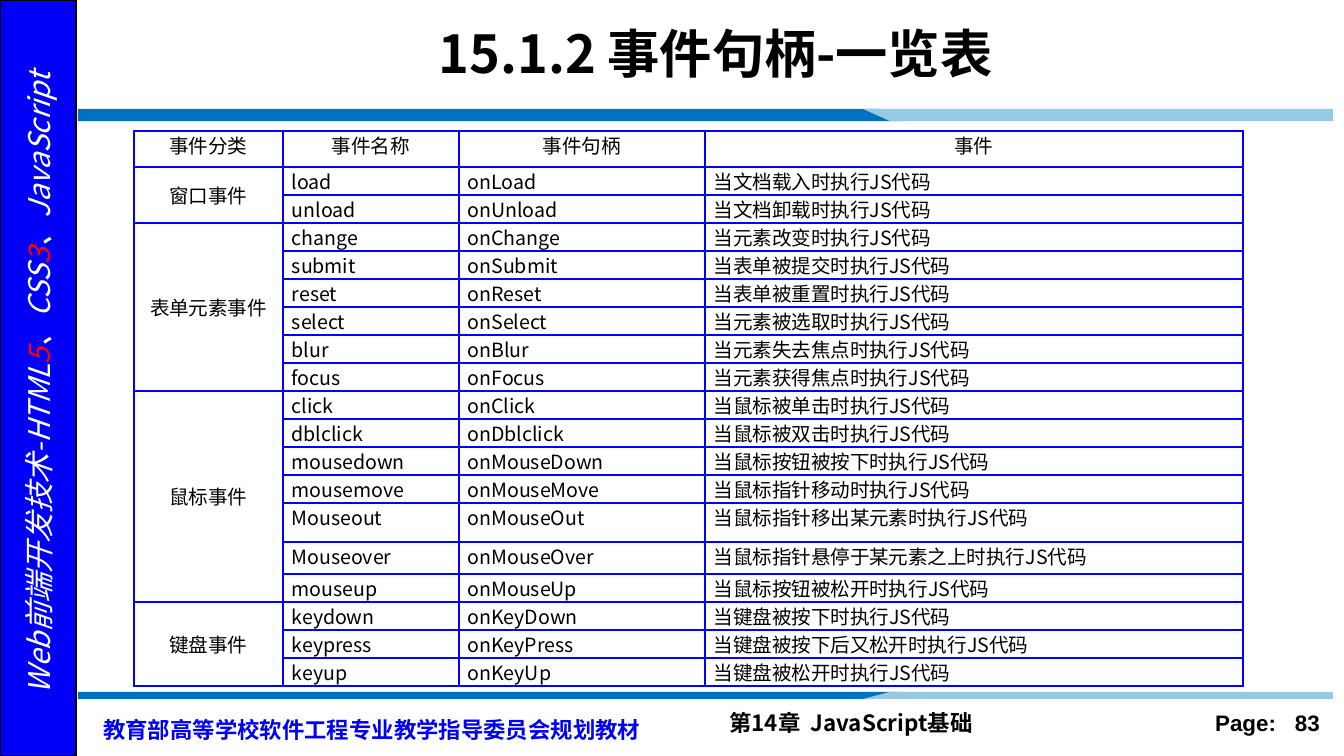
from lxml import etree
from pptx import Presentation, util as u
from pptx.dml.color import RGBColor
from pptx.enum import shapes, text
from pptx.oxml import ns

PX = 914400 / 134.4
COLORS = {
    "black": "000000", "white": "FFFFFF", "red": "FF0000", "navy": "0000FA",
    "border": "0000FF", "band": "0070C0", "band_light": "96CAE4",
}
CJK = "Noto Sans CJK SC"
ALIGN = text.PP_ALIGN

HEADINGS = ["事件分类", "事件名称", "事件句柄", "事件"]
EVENTS = {
    "窗口事件": [
        ("load", "onLoad", "当文档载入时执行JS代码"),
        ("unload", "onUnload", "当文档卸载时执行JS代码"),
    ],
    "表单元素事件": [
        ("change", "onChange", "当元素改变时执行JS代码"),
        ("submit", "onSubmit", "当表单被提交时执行JS代码"),
        ("reset", "onReset", "当表单被重置时执行JS代码"),
        ("select", "onSelect", "当元素被选取时执行JS代码"),
        ("blur", "onBlur", "当元素失去焦点时执行JS代码"),
        ("focus", "onFocus", "当元素获得焦点时执行JS代码"),
    ],
    "鼠标事件": [
        ("click", "onClick", "当鼠标被单击时执行JS代码"),
        ("dblclick", "onDblclick", "当鼠标被双击时执行JS代码"),
        ("mousedown", "onMouseDown", "当鼠标按钮被按下时执行JS代码"),
        ("mousemove", "onMouseMove", "当鼠标指针移动时执行JS代码"),
        ("Mouseout", "onMouseOut", "当鼠标指针移出某元素时执行JS代码"),
        ("Mouseover", "onMouseOver", "当鼠标指针悬停于某元素之上时执行JS代码"),
        ("mouseup", "onMouseUp", "当鼠标按钮被松开时执行JS代码"),
    ],
    "键盘事件": [
        ("keydown", "onKeyDown", "当键盘被按下时执行JS代码"),
        ("keypress", "onKeyPress", "当键盘被按下后又松开时执行JS代码"),
        ("keyup", "onKeyUp", "当键盘被松开时执行JS代码"),
    ],
}
COLUMN_WIDTHS = [149, 176, 246, 538]
HEADER_HEIGHT, ROW_HEIGHT = 36, 28
TALL_ROWS = {"Mouseout": 39, "Mouseover": 32}


def px(length):
    return u.Emu(round(length * PX))


def rgb(name):
    return RGBColor.from_string(COLORS[name])


class SlideWriter:
    def __init__(self, slide):
        self.slide = slide
        self.shapes = slide.shapes

    def run(self, paragraph, words, size, color="black", bold=False, italic=False,
            font=CJK, gap=0):
        run = paragraph.add_run()
        run.text = words
        run.font.size = u.Pt(size)
        run.font.name = font
        run.font.bold = bold
        run.font.italic = italic
        run.font.color.rgb = rgb(color)
        properties = run.font._element
        etree.SubElement(properties, ns.qn("a:ea")).set("typeface", font)
        if gap:
            properties.set("spc", str(gap))

    def title(self, box, words):
        title = self.shapes.title
        title.left, title.top, title.width, title.height = map(px, box)
        frame = title.text_frame
        frame.vertical_anchor = text.MSO_ANCHOR.MIDDLE
        frame.auto_size = text.MSO_AUTO_SIZE.NONE
        paragraph = frame.paragraphs[0]
        paragraph.alignment = ALIGN.CENTER
        self.run(paragraph, words, 28, bold=True)

    def label(self, box, runs, align=ALIGN.LEFT, rotation=0, line_spacing=None, **style):
        label = self.shapes.add_textbox(*map(px, box))
        label.rotation = rotation
        label.text_frame.word_wrap = True
        paragraph = label.text_frame.paragraphs[0]
        paragraph.alignment = align
        if line_spacing:
            paragraph.line_spacing = u.Pt(line_spacing)
        for words, own_style in runs:
            self.run(paragraph, words, **{**style, **own_style})

    def panel(self, box, fill, line):
        panel = self.shapes.add_shape(shapes.MSO_SHAPE.RECTANGLE, *map(px, box))
        panel.shadow.inherit = False
        panel.fill.solid()
        panel.fill.fore_color.rgb = rgb(fill)
        panel.line.color.rgb = rgb(line)
        panel.line.width = u.Pt(1)

    def outline(self, points, fill):
        builder = self.shapes.build_freeform(*points[0], scale=PX)
        builder.add_line_segments(points[1:], close=True)
        outline = builder.convert_to_shape()
        outline.shadow.inherit = False
        outline.fill.solid()
        outline.fill.fore_color.rgb = rgb(fill)
        outline.line.fill.background()

    def band(self, start, end):
        self.outline([(78, start), (879, start), (903, end), (78, end)], "band")
        self.outline([(863, start), (1333, start), (1333, end), (890, end)], "band_light")

    def cell(self, cell, words, align, anchor=text.MSO_ANCHOR.TOP):
        cell.margin_left = cell.margin_right = px(9)
        cell.margin_top = cell.margin_bottom = 0
        cell.vertical_anchor = anchor
        properties = cell._tc.get_or_add_tcPr()
        for side in ("lnL", "lnR", "lnT", "lnB"):
            border = etree.SubElement(properties, ns.qn(f"a:{side}"), w=str(u.Pt(1)))
            fill = etree.SubElement(border, ns.qn("a:solidFill"))
            etree.SubElement(fill, ns.qn("a:srgbClr"), val=COLORS["border"])
        cell.fill.background()
        paragraph = cell.text_frame.paragraphs[0]
        paragraph.alignment = align
        if words:
            self.run(paragraph, words, 10.5)
        else:
            paragraph.font.size = u.Pt(10.5)

    def event_table(self, left, top):
        events = [event for group in EVENTS.values() for event in group]
        heights = [HEADER_HEIGHT] + [TALL_ROWS.get(event[0], ROW_HEIGHT) for event in events]
        table = self.shapes.add_table(
            len(heights), len(COLUMN_WIDTHS), px(left), px(top),
            px(sum(COLUMN_WIDTHS)), px(sum(heights))).table
        table.first_row = table.horz_banding = False
        for column, width in zip(table.columns, COLUMN_WIDTHS):
            column.width = px(width)
        for row, height in zip(table.rows, heights):
            row.height = px(height)
        for column, heading in enumerate(HEADINGS):
            self.cell(table.cell(0, column), heading, ALIGN.CENTER)
        first = 1
        for category, group in EVENTS.items():
            for row, event in enumerate(group, first):
                self.cell(table.cell(row, 0), category if row == first else "",
                          ALIGN.CENTER, text.MSO_ANCHOR.MIDDLE)
                for column, words in enumerate(event, 1):
                    self.cell(table.cell(row, column), words, ALIGN.JUSTIFY)
            table.cell(first, 0).merge(table.cell(first + len(group) - 1, 0))
            first += len(group)


def main():
    deck = Presentation()
    deck.slide_width, deck.slide_height = px(1344), px(756)
    writer = SlideWriter(deck.slides.add_slide(deck.slide_layouts[5]))

    writer.panel((0, 0, 76, 756), "navy", "black")
    writer.label(
        (-310, 358, 698, 50),
        [("Web前端开发技术-HTML", {}), ("5", {"color": "red"}), ("、CSS", {}),
         ("3", {"color": "red"}), ("、JavaScript", {})],
        ALIGN.CENTER, rotation=270, size=16, color="white", italic=True)
    writer.band(109, 121)
    writer.band(699, 692)
    writer.title((145, 11, 1141, 83), "15.1.2 事件句柄-一览表")
    writer.event_table(134, 131)
    writer.label((90, 703, 582, 47), [("教育部高等学校软件工程专业教学指导委员会规划教材", {})],
                 line_spacing=18, size=12, color="navy", bold=True)
    writer.label((716, 703, 442, 40),
                 [("第14章", {}), (" ", {"gap": 270}), ("JavaScript基础", {})],
                 size=12, bold=True)
    writer.label((1165, 703, 168, 40), [("Page:", {}), (" ", {"gap": 670}), ("83", {})],
                 ALIGN.RIGHT, size=12, bold=True, font="Arial")
    deck.save("out.pptx")


if __name__ == "__main__":
    main()
